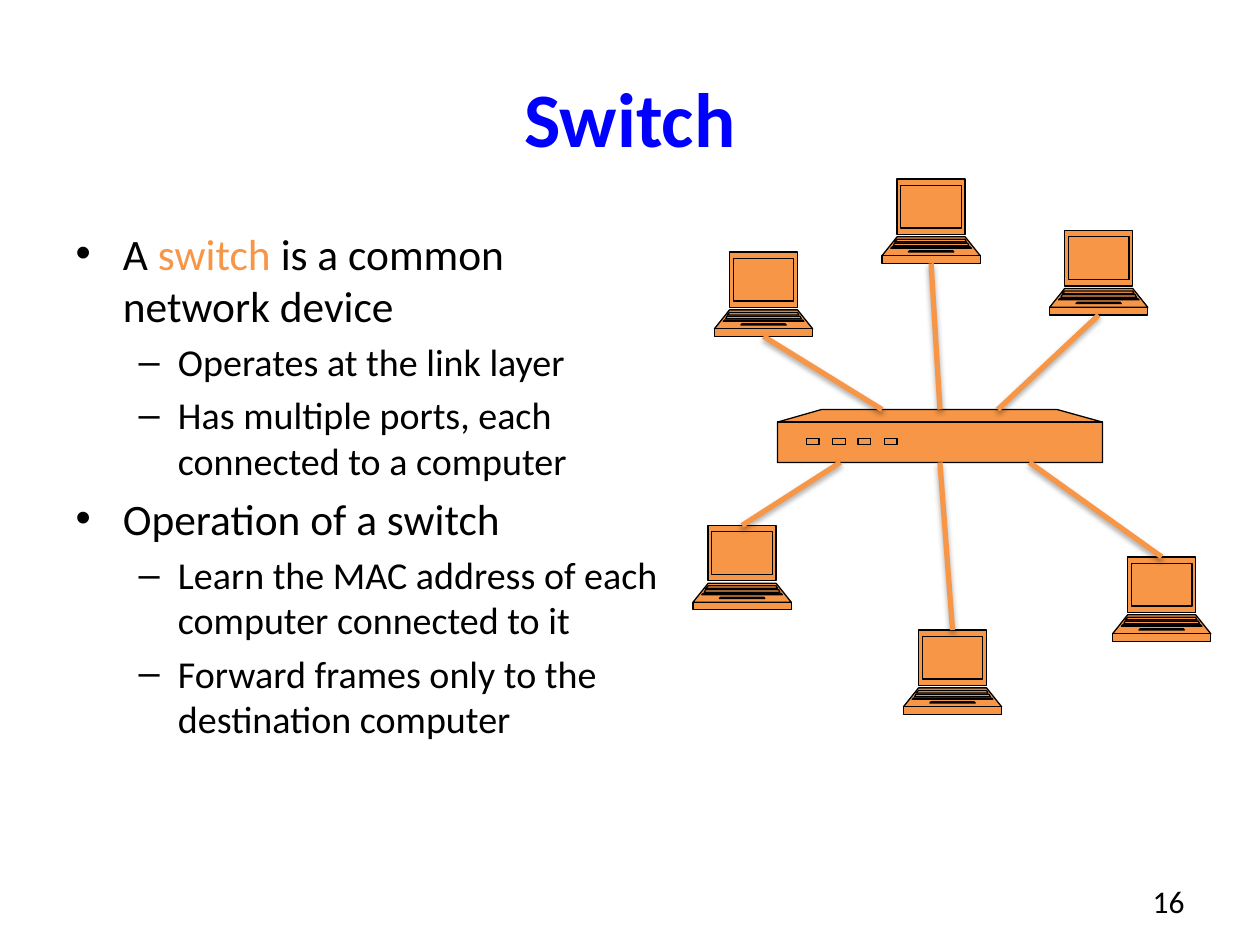
from lxml import etree
from pptx import Presentation
from pptx import util as u
from pptx.dml.color import RGBColor
from pptx.enum import shapes, text
from pptx.oxml import ns

PX = u.Inches(1) // 100
FONT = "Calibri"
BLACK = RGBColor(0x00, 0x00, 0x00)
BLUE = RGBColor(0x00, 0x00, 0xFF)
ORANGE = RGBColor(0xF7, 0x96, 0x46)

TITLE_SIZE = 44
BULLET_SIZES = (24.8, 21.7)
NUMBER_SIZE = 18

LAPTOP_WIDTH, LAPTOP_HEIGHT = 78, 67
SWITCH_LEFT, SWITCH_RIGHT = 617, 875
SWITCH_TOP, SWITCH_EDGE, SWITCH_BOTTOM = 325, 335, 367

LAPTOP_PARTS = (
    (12, 66, 0, 12, 66, 44),
    (12, 66, 46, 0, 78, 61),
    (0, 78, 61, 0, 78, 67),
    (15, 63, 5, 15, 63, 39),
    (12, 66, 48, 10, 67, 50),
    (22, 56, 57, 21, 57, 58),
    (10, 68, 51, 9, 69, 53),
    (8, 70, 54, 7, 71, 55),
)

LAPTOPS = (
    (550, 417, 667),
    (717, 500, 746),
    (883, 442, 817),
    (567, 200, 700),
    (700, 142, 746),
    (833, 183, 792),
)

BULLETS = (
    (0, (("A ", BLACK), ("switch", ORANGE), (" is a common network device", BLACK))),
    (1, (("Operates at the link layer", BLACK),)),
    (1, (("Has multiple ports, each connected to a computer", BLACK),)),
    (0, (("Operation of a switch", BLACK),)),
    (1, (("Learn the MAC address of each computer connected to it", BLACK),)),
    (1, (("Forward frames only to the destination computer", BLACK),)),
)


def trapezoid(left_top, right_top, top, left_bottom, right_bottom, bottom):
    return [(left_top, top), (right_top, top), (right_bottom, bottom), (left_bottom, bottom)]


class SlideBuilder:
    def __init__(self, page):
        self.page = page

    def place(self, box, left, top, width, height):
        box.left, box.top, box.width, box.height = (
            value * PX for value in (left, top, width, height)
        )

    def add_span(self, para, words, size, color, bold=False):
        span = para.add_run()
        span.text = words
        span.font.name = FONT
        span.font.size = u.Pt(size)
        span.font.bold = bold
        span.font.color.rgb = color

    def title(self, words, *area):
        box = self.page.shapes.title
        self.place(box, *area)
        para = box.text_frame.paragraphs[0]
        para.alignment = text.PP_ALIGN.CENTER
        self.add_span(para, words, TITLE_SIZE, BLUE, True)

    def bullets(self, items, *area):
        box = self.page.placeholders[1]
        self.place(box, *area)
        frame = box.text_frame
        frame.auto_size = text.MSO_AUTO_SIZE.NONE
        for index, (level, parts) in enumerate(items):
            para = frame.add_paragraph() if index else frame.paragraphs[0]
            para.level = level
            if index == 0:
                para.space_before = u.Pt(0)
            for words, color in parts:
                self.add_span(para, words, BULLET_SIZES[level], color)

    def label(self, words, *area):
        box = self.page.shapes.add_textbox(*(value * PX for value in area))
        box.text_frame.word_wrap = True
        para = box.text_frame.paragraphs[0]
        para.alignment = text.PP_ALIGN.RIGHT
        self.add_span(para, words, NUMBER_SIZE, BLACK)

    def outline(self, contours):
        builder = self.page.shapes.build_freeform(*contours[0][0], scale=PX)
        for index, points in enumerate(contours):
            if index:
                builder.move_to(*points[0])
            builder.add_line_segments(points[1:], close=len(points) > 2)
        shape = builder.convert_to_shape()
        self.separate_contours(shape)
        shape.shadow.inherit = False
        shape.fill.solid()
        shape.fill.fore_color.rgb = ORANGE
        shape.line.color.rgb = BLACK
        shape.line.width = u.Pt(0.75)

    def separate_contours(self, shape):
        first = next(shape._element.iter(ns.qn("a:path")))
        current = first
        for step in list(first)[1:]:
            if step.tag == ns.qn("a:moveTo"):
                current = etree.SubElement(first.getparent(), first.tag, dict(first.attrib))
            current.append(step)

    def laptop(self, left, top):
        self.outline([
            [(left + x, top + y) for x, y in trapezoid(*part)] for part in LAPTOP_PARTS
        ])

    def switch(self):
        body = [
            (SWITCH_LEFT, SWITCH_EDGE), (SWITCH_LEFT + 35, SWITCH_TOP),
            (SWITCH_RIGHT - 36, SWITCH_TOP), (SWITCH_RIGHT, SWITCH_EDGE),
            (SWITCH_RIGHT, SWITCH_BOTTOM), (SWITCH_LEFT, SWITCH_BOTTOM),
        ]
        edge = [(SWITCH_LEFT, SWITCH_EDGE), (SWITCH_RIGHT, SWITCH_EDGE)]
        lefts = [round(640 + 20.67 * port) for port in range(4)]
        ports = [trapezoid(x, x + 10, 348, x, x + 10, 353) for x in lefts]
        self.outline([body, edge, *ports])

    def cable(self, *ends):
        line = self.page.shapes.add_connector(
            shapes.MSO_CONNECTOR.STRAIGHT, *(value * PX for value in ends)
        )
        line.line.color.rgb = ORANGE
        line.line.width = u.Pt(3)
        effects = etree.SubElement(line._element.spPr, ns.qn("a:effectLst"))
        shadow = etree.SubElement(
            effects, ns.qn("a:outerShdw"),
            blurRad="40000", dist="23000", dir="5400000", rotWithShape="0",
        )
        shade = etree.SubElement(shadow, ns.qn("a:srgbClr"), val=str(BLACK))
        etree.SubElement(shade, ns.qn("a:alpha"), val="35000")


def main():
    deck = Presentation()
    deck.slide_width, deck.slide_height = 1000 * PX, 750 * PX
    slide = SlideBuilder(deck.slides.add_slide(deck.slide_layouts[1]))
    slide.title("Switch", 50, 30, 900, 125)
    slide.bullets(BULLETS, 50, 175, 483, 495)
    slide.switch()
    for left, top, port in LAPTOPS:
        slide.laptop(left, top)
    for left, top, port in LAPTOPS:
        middle = left + LAPTOP_WIDTH // 2
        if top < SWITCH_TOP:
            slide.cable(middle, top + LAPTOP_HEIGHT, port, SWITCH_TOP)
        else:
            slide.cable(port, SWITCH_BOTTOM, middle, top)
    slide.label("16", 717, 695, 233, 40)
    deck.save("out.pptx")


if __name__ == "__main__":
    main()
